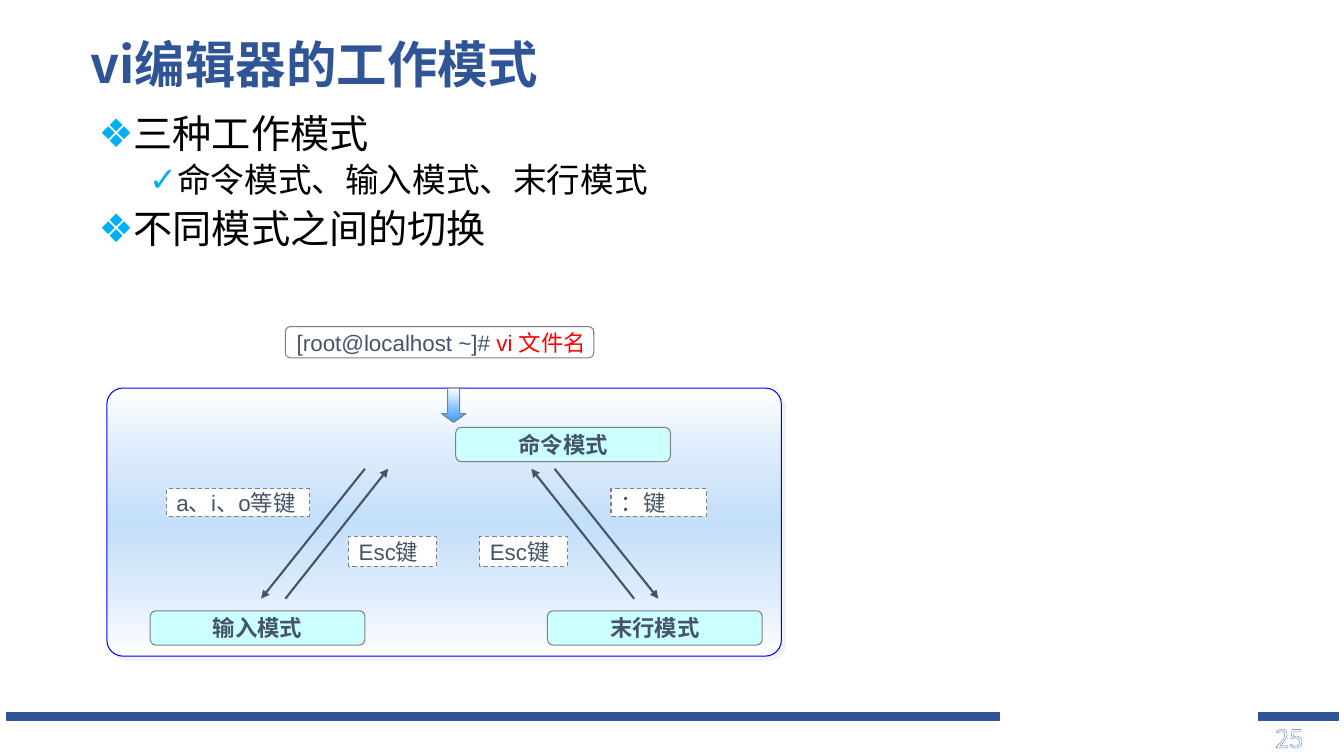
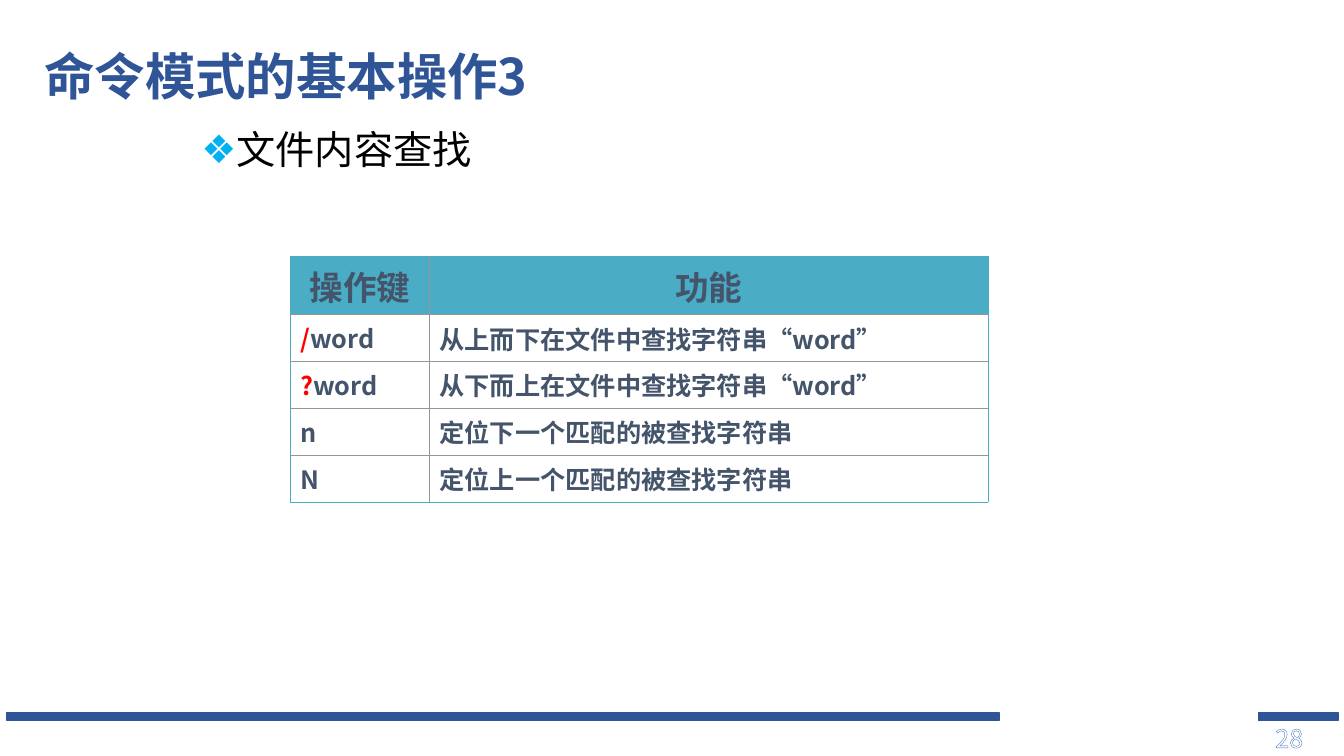
from typing import NamedTuple

from lxml import etree
from pptx import Presentation
from pptx.dml import color
from pptx.enum import dml, shapes, text
from pptx.oxml import ns
from pptx.util import Inches, Pt

HEADING = "2F5597"
BULLET = "00B0F0"
INK = "44546A"
RED = "FF0000"
BLACK = "000000"
WHITE = "FFFFFF"
GREY = "808080"
MODE_FILL = "CCFFFF"
HEADER_FILL = "4BACC6"
GRID = "969696"
CJK = "Noto Sans CJK SC"
ROUNDED = shapes.MSO_SHAPE.FLOWCHART_ALTERNATE_PROCESS
RECT = shapes.MSO_SHAPE.RECTANGLE
MIDDLE = text.MSO_ANCHOR.MIDDLE
CENTER = text.PP_ALIGN.CENTER


class Box(NamedTuple):
    left: float
    top: float
    width: float
    height: float


class Label(NamedTuple):
    words: str
    box: Box


class Arrow(NamedTuple):
    start: tuple[float, float]
    end: tuple[float, float]


class Bullet(NamedTuple):
    words: str
    level: int = 0


class BulletStyle(NamedTuple):
    mark: str
    size: int
    margin: float
    before: float


BULLET_STYLES = [BulletStyle("❖", 28, 0.25, 6.8), BulletStyle("✓", 24, 0.75, 4.8)]


# Helpers for colour, XML and text
def rgb(value: str) -> color.RGBColor:
    return color.RGBColor.from_string(value)


def add_xml(parent, tag: str, **attributes):
    return etree.SubElement(parent, ns.qn(tag), attributes)


def add_color(parent, value: str):
    return add_xml(parent, "a:srgbClr", val=value)


def place(box: Box) -> list:
    return [Inches(length) for length in box]


def write(paragraph, words, *, size: float, ink: str = INK, font: str = CJK,
          bold: bool = False, align=None, spacing=None) -> None:
    """Fill a paragraph with a string or with (string, colour) pairs."""
    if align is not None:
        paragraph.alignment = align
    if spacing is not None:
        paragraph.line_spacing = spacing
    for part, part_ink in [(words, ink)] if isinstance(words, str) else words:
        run = paragraph.add_run()
        run.text = part
        run.font.size = Pt(size)
        run.font.bold = bold
        run.font.name = font
        run.font.color.rgb = rgb(part_ink)
        run.font._element.find(ns.qn("a:latin")).addnext(
            etree.Element(ns.qn("a:ea"), typeface=CJK))


def text_frame(slide, box: Box, anchor=text.MSO_ANCHOR.TOP):
    frame = slide.shapes.add_textbox(*place(box)).text_frame
    frame.word_wrap = True
    frame.vertical_anchor = anchor
    return frame


def add_block(slide, kind, box: Box, *, fill: str = WHITE, line: str = GREY,
              weight: float = 0.75, dashed: bool = False):
    block = slide.shapes.add_shape(kind, *place(box))
    block.shadow.inherit = False
    block.fill.solid()
    block.fill.fore_color.rgb = rgb(fill)
    block.line.color.rgb = rgb(line)
    block.line.width = Pt(weight)
    if dashed:
        block.line.dash_style = dml.MSO_LINE.DASH
    return block


def add_label(slide, kind, box: Box, words, *, bold: bool = False,
              align=text.PP_ALIGN.LEFT, **look) -> None:
    frame = add_block(slide, kind, box, **look).text_frame
    frame.word_wrap = False
    frame.vertical_anchor = MIDDLE
    write(frame.paragraphs[0], words, size=16, font="Arial", bold=bold, align=align)


def shade_down(block, *stops: str) -> None:
    """Vertical gradient with evenly spaced colours."""
    block.fill.gradient()
    block.fill.gradient_angle = 270
    stop_list = block._element.spPr.find(".//" + ns.qn("a:gsLst"))
    for old_stop in list(stop_list):
        stop_list.remove(old_stop)
    for index, value in enumerate(stops):
        position = 100000 * index // (len(stops) - 1)
        add_color(add_xml(stop_list, "a:gs", pos=str(position)), value)


def add_soft_shadow(block) -> None:
    effects = block._element.spPr.find(ns.qn("a:effectLst"))
    shadow = add_xml(effects, "a:outerShdw", dist=str(Pt(4.2)), dir="2700000",
                     algn="ctr", rotWithShape="0")
    add_xml(add_color(shadow, "E7E6E6"), "a:alpha", val="50000")


def add_arrow(slide, arrow: Arrow) -> None:
    line = slide.shapes.add_connector(
        shapes.MSO_CONNECTOR.STRAIGHT, *place((*arrow.start, *arrow.end)))
    line.line.color.rgb = rgb(INK)
    line.line.width = Pt(1.5)
    add_xml(line.line._get_or_add_ln(), "a:tailEnd", type="triangle")
    add_xml(line._element.spPr, "a:effectLst")


# Parts shared by the slides
def add_page_number(slide, number: int) -> None:
    paragraph = text_frame(slide, Box(12.55, 7.12, 0.72, 0.4)).paragraphs[0]
    write(paragraph, str(number), size=18, ink=HEADING)
    properties = paragraph.runs[0].font._element
    pattern = etree.Element(ns.qn("a:pattFill"), prst="ltDnDiag")
    add_color(add_xml(pattern, "a:fgClr"), "8FAADC")
    add_color(add_xml(pattern, "a:bgClr"), WHITE)
    properties.replace(properties.find(ns.qn("a:solidFill")), pattern)
    outline = etree.Element(ns.qn("a:ln"), w=str(Pt(1)))
    add_color(add_xml(outline, "a:solidFill"), "4472C4")
    properties.insert(0, outline)


def add_page(deck, title: str, title_box: Box, number: int):
    slide = deck.slides.add_slide(deck.slide_layouts[6])
    for left, width in ((0.07, 9.84), (12.48, 0.79)):
        add_block(slide, RECT, Box(left, 7.07, width, 0.08),
                  fill=HEADING, line=HEADING, weight=1)
    add_page_number(slide, number)
    write(text_frame(slide, title_box, MIDDLE).paragraphs[0], title,
          size=36, ink=HEADING, bold=True, spacing=0.9)
    return slide


def add_bullets(slide, box: Box, bullets: list[Bullet]) -> None:
    frame = text_frame(slide, box)
    for index, bullet in enumerate(bullets):
        style = BULLET_STYLES[bullet.level]
        paragraph = frame.add_paragraph() if index else frame.paragraphs[0]
        paragraph.level = bullet.level
        if index:
            paragraph.space_before = Pt(style.before)
        paragraph.line_spacing = 0.9
        properties = paragraph._p.get_or_add_pPr()
        properties.set("marL", str(Inches(style.margin)))
        properties.set("indent", str(Inches(-0.25)))
        add_color(add_xml(properties, "a:buClr"), BULLET)
        add_xml(properties, "a:buFont", typeface="Arial")
        add_xml(properties, "a:buChar", char=style.mark)
        write(paragraph, bullet.words, size=style.size, ink=BLACK, font="Calibri")


# Slide on the working modes
MODES = [
    Label("命令模式", Box(4.52, 4.24, 2.13, 0.34)),
    Label("输入模式", Box(1.49, 6.06, 2.13, 0.34)),
    Label("末行模式", Box(5.43, 6.06, 2.13, 0.34)),
]
UPPER, LOWER = 4.65, 5.94
SWITCHES = [
    Arrow((2.83, LOWER), (3.85, UPPER)),
    Arrow((3.62, UPPER), (2.59, LOWER)),
    Arrow((6.29, LOWER), (5.27, UPPER)),
    Arrow((5.5, UPPER), (6.53, LOWER)),
]
KEYS = [
    Label("：键", Box(6.06, 4.85, 0.95, 0.27)),
    Label("a、i、o等键", Box(1.65, 4.85, 1.42, 0.27)),
    Label("Esc键", Box(3.46, 5.32, 0.87, 0.3)),
    Label("Esc键", Box(4.76, 5.32, 0.87, 0.3)),
]


def build_modes(deck) -> None:
    slide = add_page(deck, "vi编辑器的工作模式", Box(0.8, 0.32, 9.58, 0.7), 25)
    add_bullets(slide, Box(0.88, 1.09, 9.3, 5.62), [
        Bullet("三种工作模式"),
        Bullet("命令模式、输入模式、末行模式", 1),
        Bullet("不同模式之间的切换"),
    ])
    panel = add_block(slide, shapes.MSO_SHAPE.ROUNDED_RECTANGLE,
                      Box(1.06, 3.85, 6.69, 2.66), line="0000FF")
    panel.adjustments[0] = 0.06
    shade_down(panel, WHITE, "DCEBFB", "C4DFFA", "DCEBFB", WHITE)
    add_soft_shadow(panel)
    add_label(slide, ROUNDED, Box(2.83, 3.24, 3.06, 0.31),
              [("[root@localhost ~]# ", INK), ("vi 文件名", RED)])
    entry = add_block(slide, shapes.MSO_SHAPE.DOWN_ARROW, Box(4.38, 3.85, 0.24, 0.34))
    entry.adjustments[1] = 0.36
    shade_down(entry, WHITE, "3399FF")
    for mode in MODES:
        add_label(slide, ROUNDED, mode.box, mode.words,
                  bold=True, align=CENTER, fill=MODE_FILL)
    for switch in SWITCHES:
        add_arrow(slide, switch)
    for key in KEYS:
        add_label(slide, RECT, key.box, key.words, dashed=True)


# Slide on searching
SEARCH_ROWS = [
    ("操作键", "功能"),
    ([("/", RED), ("word", INK)], "从上而下在文件中查找字符串“word”"),
    ([("?", RED), ("word", INK)], "从下而上在文件中查找字符串“word”"),
    ("n", "定位下一个匹配的被查找字符串"),
    ("N", "定位上一个匹配的被查找字符串"),
]
HEADER_HEIGHT = 0.58
ROWS_HEIGHT = 1.86


def set_borders(cell, outer: dict[str, bool]) -> None:
    properties = cell._tc.get_or_add_tcPr()
    for side, is_outer in outer.items():
        line = add_xml(properties, f"a:ln{side}", w=str(Pt(0.5)))
        add_color(add_xml(line, "a:solidFill"), HEADER_FILL if is_outer else GRID)


def build_search(deck) -> None:
    slide = add_page(deck, "命令模式的基本操作3", Box(0.34, 0.48, 10.93, 0.62), 28)
    add_bullets(slide, Box(1.9, 1.25, 9.3, 5.62), [Bullet("文件内容查找")])
    table_box = Box(2.88, 2.54, 6.92, HEADER_HEIGHT + ROWS_HEIGHT)
    table = slide.shapes.add_table(len(SEARCH_ROWS), 2, *place(table_box)).table
    for column, width in zip(table.columns, (1.38, 5.54)):
        column.width = Inches(width)
    row_height = ROWS_HEIGHT / (len(SEARCH_ROWS) - 1)
    for r, row in enumerate(SEARCH_ROWS):
        header = r == 0
        table.rows[r].height = Inches(HEADER_HEIGHT if header else row_height)
        for c, words in enumerate(row):
            cell = table.cell(r, c)
            set_borders(cell, {"L": c == 0, "R": c == 1, "T": header,
                               "B": r == len(SEARCH_ROWS) - 1})
            if header:
                cell.fill.solid()
                cell.fill.fore_color.rgb = rgb(HEADER_FILL)
            else:
                cell.fill.background()
            cell.vertical_anchor = (
                text.MSO_ANCHOR.BOTTOM if header or c == 1 else MIDDLE)
            write(cell.text_frame.paragraphs[0], words, size=24 if header else 18,
                  bold=True, align=CENTER if header else None)


def main() -> None:
    deck = Presentation()
    deck.slide_width, deck.slide_height = Inches(13.33), Inches(7.5)
    build_modes(deck)
    build_search(deck)
    deck.save("out.pptx")


if __name__ == "__main__":
    main()
